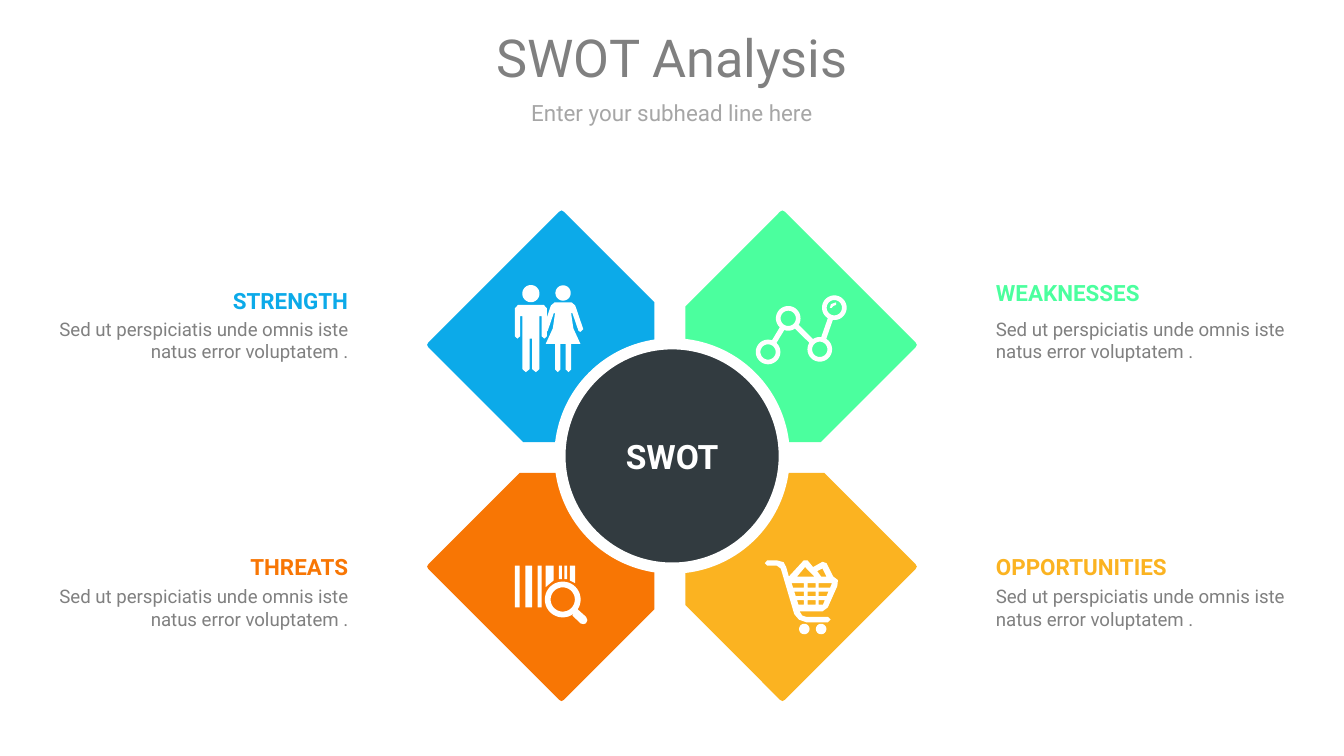
from math import cos, sin, pi, hypot
from pptx import Presentation
from pptx.dml.color import RGBColor
from pptx.enum.shapes import MSO_SHAPE
from pptx.enum.text import MSO_ANCHOR, MSO_AUTO_SIZE, PP_ALIGN
from pptx.util import Pt

color = RGBColor.from_string
BLUE, GREEN, ORANGE, GOLD = "0CAAE9", "4BFF9E", "F87604", "FBB321"
WHITE, GRAY = "FFFFFF", "808080"

deck = Presentation()
deck.slide_width, deck.slide_height = Pt(720), Pt(405)
slide = deck.slides.add_slide(deck.slide_layouts[5])
shapes = slide.shapes


def draw(loops, fill):
    """Fill closed loops of points as one shape; inner loops are holes."""
    first, *rest = [[(x * 100, y * 100) for x, y in loop] for loop in loops]
    pen = shapes.build_freeform(*first[0], scale=Pt(1) / 100)
    pen.add_line_segments(first[1:], close=True)
    for loop in rest:
        pen.move_to(*loop[0])
        pen.add_line_segments(loop[1:], close=True)
    form = pen.convert_to_shape()
    form.shadow.inherit = False
    form.fill.solid()
    form.fill.fore_color.rgb = color(fill)
    form.line.fill.background()


def disc(x, y, r):
    return [(x + r * cos(k * pi / 20), y + r * sin(k * pi / 20)) for k in range(40)]


# Petals: diamonds cut off along the cross-shaped gap
reach = 72.6
for sx, sy, fill in [(-1, 1, ORANGE), (1, 1, GOLD), (1, -1, GREEN), (-1, -1, BLUE)]:
    x, y = 360 + sx * 59.2, 244.2 + sy * 59.4
    left, top = (350.6 if sx < 0 else 367.2), (236.9 if sy < 0 else 253.4)
    dx, dy = abs(x - left), abs(y - top)
    far, cut = reach - 0.6, 1.3
    draw([[
        (left, top),
        (left, y + sy * (reach - dx)),
        (x - sx * cut, y + sy * (reach - cut)),
        (x, y + sy * far),
        (x + sx * cut, y + sy * (reach - cut)),
        (x + sx * (reach - cut), y + sy * cut),
        (x + sx * far, y),
        (x + sx * (reach - cut), y - sy * cut),
        (x + sx * (reach - dy), top),
    ]], fill)

# Title and subhead
title = shapes.title
sub = shapes.add_textbox(Pt(30.5), Pt(53.3), Pt(659), Pt(13.7))
title.left, title.top, title.width, title.height = Pt(30.5), Pt(10.8), Pt(659), Pt(38.9)
for box, text, size, tint in [(title, "SWOT Analysis", 28, GRAY),
                              (sub, "Enter your subhead line here", 12, "A6A6A6")]:
    frame = box.text_frame
    frame.text = text
    frame.word_wrap = True
    frame.vertical_anchor = MSO_ANCHOR.MIDDLE
    frame.margin_left = frame.margin_right = frame.margin_top = frame.margin_bottom = 0
    para = frame.paragraphs[0]
    para.alignment = PP_ALIGN.CENTER
    para.font.name, para.font.size = "Roboto", Pt(size)
    para.font.color.rgb = color(tint)

# Hub
hub = shapes.add_shape(MSO_SHAPE.OVAL, Pt(300), Pt(184.2), Pt(120.2), Pt(120.2))
hub.shadow.inherit = False
hub.fill.solid()
hub.fill.fore_color.rgb = color("323B40")
hub.line.color.rgb = color(WHITE)
hub.line.width = Pt(6)
hub.text_frame.text = "SWOT"
hub.text_frame.vertical_anchor = MSO_ANCHOR.MIDDLE
para = hub.text_frame.paragraphs[0]
para.alignment = PP_ALIGN.CENTER
para.font.name, para.font.size, para.font.bold = "Roboto", Pt(18), True
para.font.color.rgb = color(WHITE)

# Line graph icon
nodes = [(411.5, 188.6), (422.3, 170.6), (439.2, 187.2), (447, 164.9)]
graph = [disc(x, y, r) for x, y in nodes for r in (6.6, 4.1)]
for (ax, ay), (bx, by) in zip(nodes, nodes[1:]):
    span = hypot(bx - ax, by - ay)
    ux, uy = (bx - ax) / span, (by - ay) / span
    graph.append([(ax + ux * d - uy * w, ay + uy * d + ux * w)
                  for d, w in [(6.5, 1.4), (span - 6.5, 1.4),
                               (span - 6.5, -1.4), (6.5, -1.4)]])
graph.append([(444.6, 165), (445.2, 163), (448, 162), (448, 163.4), (446.4, 164), (445.6, 165)])
draw(graph, WHITE)

# Cart icon
cart = [
    [(443.5, 325.4), (448.6, 313.9), (448.9, 310.8), (446.4, 308.9), (442.8, 301.7),
     (440.6, 301), (435.6, 303.8), (432.7, 300.3), (430.6, 300.2), (422.6, 308.9),
     (421.2, 303.8), (419.8, 301.2), (416.2, 300.2), (411.1, 300.2), (409.7, 301.7),
     (411.1, 303.1), (416.2, 303.1), (418.3, 304.6), (425.5, 329), (428, 332),
     (432, 333.4), (443.5, 333.4), (445, 331.9), (443.5, 330.5), (432, 330.5),
     (429.8, 329.8), (428.4, 327.6), (440.6, 327.6)],
    [(431.3, 303.8), (436.3, 308.9), (427, 308.9)],
    [(440.6, 304.6), (442.8, 308.9), (439.9, 308.9), (437.8, 306)],
    disc(430.9, 337, 2.8), disc(439.9, 337, 2.8),
]
for top in (312.5, 317, 321.5):
    low = top + 2.4
    a, b = [424.1 + 0.32 * (y - 312.5) for y in (top, low)]
    c, d = [445.7 - 0.42 * (y - 312.5) for y in (top, low)]
    cart += [[(a, top), (430.6, top), (430.6, low), (b, low)],
             [(432.7, top), (437, top), (437, low), (432.7, low)],
             [(438.5, top), (c, top), (d, low), (438.5, low)]]
draw(cart, WHITE)

# Couple icon: each body is half an outline, mirrored
man = [(291.3, 163.4), (293, 165.2), (293, 180.2), (291.6, 181.4), (290.2, 180.2),
       (290.2, 169.4), (288.9, 169.4), (288.9, 197.8), (287.1, 199.4), (285.1, 197.8),
       (285.1, 181.4)]
woman = [(306.2, 162), (308.2, 163.7), (312.5, 176.4), (311, 177.8), (310, 177.4),
         (306.7, 167.8), (306, 167.8), (307.2, 176), (311, 184.3), (306, 184.3),
         (306, 198), (304.6, 199.4), (303.1, 198), (303.1, 184.3)]
for half, mid, head, r in [(man, 284.4, 157.3, 4.6), (woman, 301.7, 157, 4.1)]:
    draw([disc(mid, head, r), half + [(2 * mid - x, y) for x, y in half[::-1]]], WHITE)

# Barcode icon: bars with left and right foot, then the lens
bars = [(275.8, 278.4, 325.4, 325.4), (281.5, 285.1, 325.4, 325.4),
        (288, 290.2, 325.4, 325.4), (292.3, 296.6, 314.6, 311),
        (299.5, 301, 310.3, 310.3), (302.4, 303.8, 310.3, 310.3),
        (305.3, 308.2, 311, 312.5)]
code = [[(a, 303.1), (b, 303.1), (b, q), (a, p)] for a, b, p, q in bars]
code += [disc(301.5, 321.2, 9.6), disc(301.5, 321.2, 6.5),
         [(309.4, 326.4), (314, 330.5), (314.7, 332.3), (313.9, 334), (312.5, 334.4),
          (311, 334), (306.7, 329.8)]]
draw(code, WHITE)

# Captions: heading above a note
note = "Sed ut perspiciatis unde omnis iste natus error voluptatem ."
for head, tint, right, top, high, gap, lead in [
        ("OPPORTUNITIES", GOLD, False, 290.2, 19.4, 23, 1.5),
        ("WEAKNESSES", GREEN, False, 149.8, 14.4, 20.2, 1),
        ("THREATS", ORANGE, True, 290.2, 19.4, 23, 1.5),
        ("STRENGTH", BLUE, True, 147.6, 19.4, 22.4, 1.5)]:
    for text, size, ink, y, wide, tall, line in [
            (head, 12, tint, top, 126, high, lead),
            (note, 10, GRAY, top + gap, 157.7, 24.5, 1)]:
        x = 186.5 - wide if right else 533.5
        box = shapes.add_textbox(Pt(x), Pt(y), Pt(wide), Pt(tall))
        frame = box.text_frame
        frame.text = text
        frame.word_wrap = True
        frame.auto_size = MSO_AUTO_SIZE.SHAPE_TO_FIT_TEXT
        frame.vertical_anchor = MSO_ANCHOR.MIDDLE
        frame.margin_left = frame.margin_right = frame.margin_top = frame.margin_bottom = 0
        para = frame.paragraphs[0]
        para.alignment = PP_ALIGN.RIGHT if right else PP_ALIGN.LEFT
        para.line_spacing = float(line)
        para.font.name, para.font.size = "Roboto", Pt(size)
        para.font.bold = text == head
        para.font.color.rgb = color(ink)

deck.save("out.pptx")
